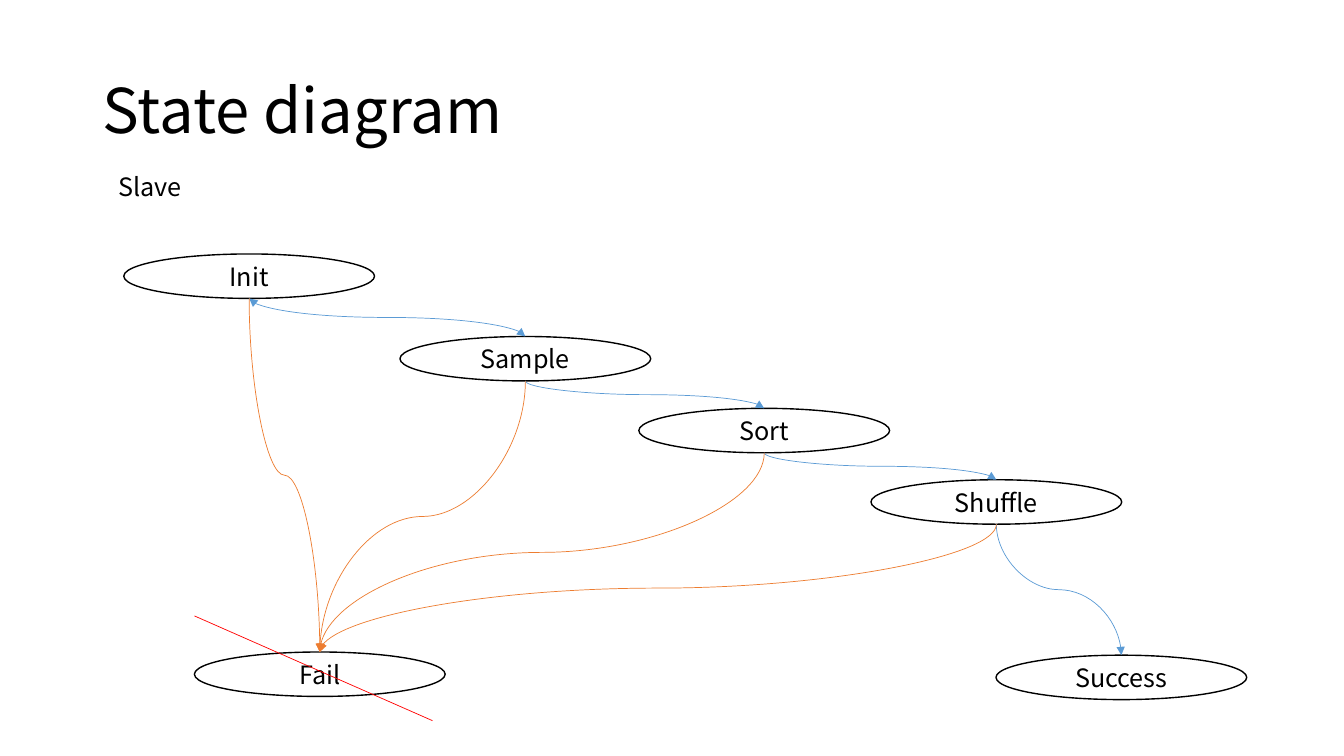
from dataclasses import dataclass

from lxml import etree
from pptx import Presentation
from pptx.dml.color import RGBColor
from pptx.enum.shapes import MSO_CONNECTOR, MSO_SHAPE
from pptx.enum.text import MSO_ANCHOR, PP_ALIGN
from pptx.oxml.ns import qn
from pptx.shapes.connector import Connector
from pptx.slide import Slide
from pptx.text.text import TextFrame
from pptx.util import Cm, Pt

CURVE, STRAIGHT = MSO_CONNECTOR.CURVE, MSO_CONNECTOR.STRAIGHT
ELLIPSE = MSO_SHAPE.OVAL
MIDDLE, TOP = MSO_ANCHOR.MIDDLE, MSO_ANCHOR.TOP
CENTER, LEFT = PP_ALIGN.CENTER, PP_ALIGN.LEFT

FONT = "Noto Sans CJK KR"
BLACK, WHITE, BLUE, ORANGE, RED = "000000", "FFFFFF", "5B9BD5", "ED7D31", "FF0000"
STATE_WIDTH, STATE_HEIGHT = 6.32, 1.12


@dataclass(frozen=True)
class State:
    """An ellipse; lengths in centimetres."""
    name: str
    left: float
    top: float

    @property
    def center_x(self) -> float:
        return self.left + STATE_WIDTH / 2

    @property
    def bottom(self) -> float:
        return self.top + STATE_HEIGHT


@dataclass(frozen=True)
class Transition:
    source: State
    target: State
    color: str = BLUE
    two_way: bool = False


INIT = State("Init", 3.12, 6.4)
SAMPLE = State("Sample", 10.08, 8.48)
SORT = State("Sort", 16.1, 10.29)
SHUFFLE = State("Shuffle", 21.95, 12.09)
FAIL = State("Fail", 4.9, 16.43)
SUCCESS = State("Success", 25.1, 16.51)
WORKING_STATES = [INIT, SAMPLE, SORT, SHUFFLE]

TRANSITIONS = [
    Transition(INIT, SAMPLE, two_way=True),
    Transition(SAMPLE, SORT),
    Transition(SORT, SHUFFLE),
    Transition(SHUFFLE, SUCCESS),
    *(Transition(state, FAIL, ORANGE) for state in WORKING_STATES),
]


def rgb(color: str) -> RGBColor:
    return RGBColor.from_string(color)


def write_text(frame: TextFrame, text: str, size: float,
               anchor: MSO_ANCHOR, alignment: PP_ALIGN) -> None:
    frame.word_wrap = True
    frame.vertical_anchor = anchor
    paragraph = frame.paragraphs[0]
    paragraph.text = text
    paragraph.alignment = alignment
    paragraph.font.name = FONT
    paragraph.font.size = Pt(size)
    paragraph.font.color.rgb = rgb(BLACK)


def add_label(slide: Slide, text: str, left: float, top: float, width: float,
              height: float, size: float, anchor: MSO_ANCHOR) -> TextFrame:
    box = slide.shapes.add_textbox(Cm(left), Cm(top), Cm(width), Cm(height))
    write_text(box.text_frame, text, size, anchor, LEFT)
    return box.text_frame


def add_state(slide: Slide, state: State) -> None:
    shape = slide.shapes.add_shape(ELLIPSE, Cm(state.left), Cm(state.top),
                                   Cm(STATE_WIDTH), Cm(STATE_HEIGHT))
    shape.shadow.inherit = False
    shape.fill.solid()
    shape.fill.fore_color.rgb = rgb(WHITE)
    shape.line.color.rgb = rgb(BLACK)
    shape.line.width = Pt(1)
    write_text(shape.text_frame, state.name, 18, MIDDLE, CENTER)


def add_line(slide: Slide, kind: MSO_CONNECTOR, begin: tuple[float, float],
             end: tuple[float, float], color: str) -> Connector:
    connector = slide.shapes.add_connector(
        kind, Cm(begin[0]), Cm(begin[1]), Cm(end[0]), Cm(end[1]))
    connector.line.color.rgb = rgb(color)
    connector.line.width = Pt(0.5)
    etree.SubElement(connector._element.spPr, qn("a:effectLst"))
    return connector


def add_transition(slide: Slide, transition: Transition) -> None:
    """Draw an S-curve that leaves and arrives vertically, as a quarter-turned connector."""
    source, target = transition.source, transition.target
    run = target.center_x - source.center_x
    drop = target.top - source.bottom
    middle_x = (source.center_x + target.center_x) / 2
    middle_y = (source.bottom + target.top) / 2
    half_width = drop / 2 if run > 0 else -drop / 2
    half_height = abs(run) / 2
    connector = add_line(slide, CURVE,
                         (middle_x + half_width, middle_y - half_height),
                         (middle_x - half_width, middle_y + half_height),
                         transition.color)
    degrees = 270 if run > 0 else 90
    connector._element.spPr.find(qn("a:xfrm")).set("rot", str(degrees * 60000))
    line = connector.line._get_or_add_ln()
    for end in ["headEnd", "tailEnd"] if transition.two_way else ["tailEnd"]:
        etree.SubElement(line, qn(f"a:{end}"), type="triangle")


def main() -> None:
    presentation = Presentation()
    presentation.slide_width, presentation.slide_height = Cm(33.87), Cm(19.05)
    slide = presentation.slides.add_slide(presentation.slide_layouts[6])

    title = add_label(slide, "State diagram", 2.34, 1.02, 29.21, 3.68, 44, MIDDLE)
    title.paragraphs[0].line_spacing = 0.9
    add_label(slide, "Slave", 2.74, 4.19, 6.27, 1.02, 18, TOP)

    for state in [*WORKING_STATES, FAIL, SUCCESS]:
        add_state(slide, state)
    for transition in TRANSITIONS:
        add_transition(slide, transition)
    add_line(slide, STRAIGHT, (4.9, 15.52), (10.9, 18.16), RED)

    presentation.save("out.pptx")


if __name__ == "__main__":
    main()
